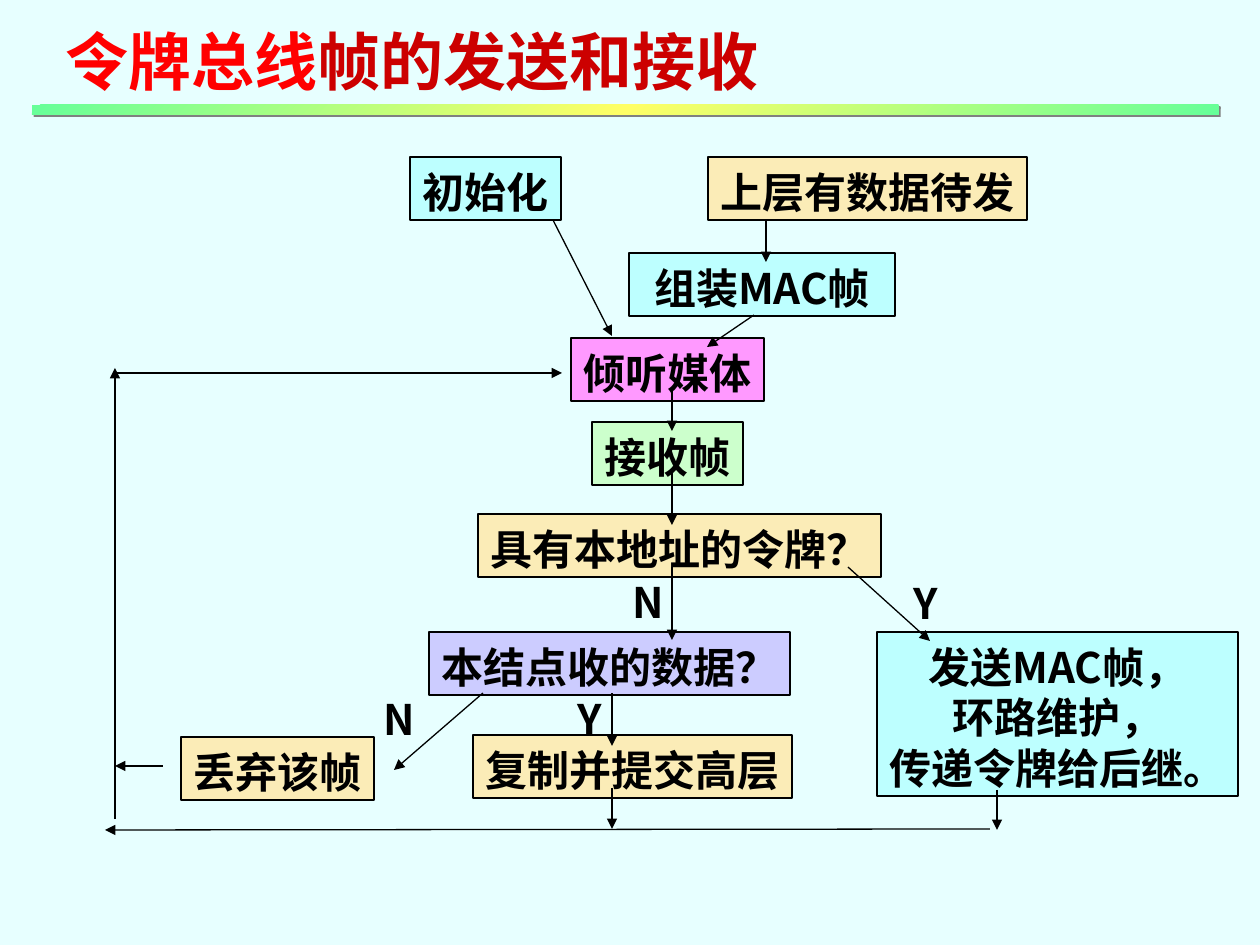
from lxml import etree
from pptx import Presentation
from pptx.dml.color import RGBColor
from pptx.enum.shapes import MSO_CONNECTOR, MSO_SHAPE
from pptx.enum.text import MSO_ANCHOR, MSO_AUTO_SIZE, PP_ALIGN
from pptx.oxml import parse_xml
from pptx.oxml.ns import nsdecls, qn
from pptx.util import Pt

PX = 914400 / 126
FONT = "Noto Sans CJK SC"
RECTANGLE = MSO_SHAPE.RECTANGLE
STRAIGHT = MSO_CONNECTOR.STRAIGHT
TOP, MIDDLE = MSO_ANCHOR.TOP, MSO_ANCHOR.MIDDLE
LEFT, CENTER = PP_ALIGN.LEFT, PP_ALIGN.CENTER
NO_AUTOFIT = MSO_AUTO_SIZE.NONE

BACKGROUND, BLACK = "E7FFFF", "000000"
SAND, AQUA, PINK, GREEN, LILAC = "FBECB7", "BDFFFF", "FF99FF", "CCFFCC", "CCCCFF"

TITLE = [("令牌总线", "FF0000"), ("帧的发送和接收", "CC0000")]
RULE_STOPS = [(0, "66FF99"), (50, "FFFF66"), (100, "66FF99")]

# lines of text, fill, (left, top, width, height)
STEPS = [
    (["上层有数据待发"], SAND, (708, 157, 319, 63)),
    (["组装MAC帧"], AQUA, (629, 253, 266, 63)),
    (["倾听媒体"], PINK, (571, 338, 193, 63)),
    (["接收帧"], GREEN, (592, 422, 151, 63)),
    (["具有本地址的令牌？"], SAND, (478, 514, 403, 63)),
    (["发送MAC帧，", "环路维护，", "传递令牌给后继。"], AQUA, (877, 632, 361, 164)),
    (["本结点收的数据？"], LILAC, (429, 632, 361, 63)),
    (["复制并提交高层"], SAND, (473, 735, 319, 63)),
    (["丢弃该帧"], SAND, (181, 737, 193, 63)),
    (["初始化"], AQUA, (410, 157, 151, 63)),
]
ARROWS = [  # start x, start y, end x, end y
    (553, 220, 612, 336),
    (766, 220, 766, 262),
    (754, 315, 707, 347),
    (672, 388, 672, 431),
    (672, 472, 672, 525),
    (672, 567, 672, 640),
    (848, 567, 930, 641),
    (612, 693, 612, 746),
    (483, 693, 394, 770),
    (612, 788, 612, 829),
    (990, 829, 105, 830),
    (115, 819, 115, 368),
    (115, 373, 562, 373),
    (163, 766, 115, 766),
    (997, 790, 997, 830),
]
BRANCHES = [
    ("Y", (564, 684, 52, 63)),
    ("Y", (900, 568, 52, 63)),
    ("N", (619, 567, 59, 63)),
    ("N", (370, 684, 59, 63)),
]


def px(*lengths):
    return [round(length * PX) for length in lengths]


def rgb(value):
    return RGBColor.from_string(value)


def add_run(paragraph, text, size, colour):
    run = paragraph.add_run()
    run.text = text
    font = run.font
    font.size, font.bold, font.name = Pt(size), True, FONT
    font.color.rgb = rgb(colour)
    etree.SubElement(font._element, qn("a:ea"), typeface=FONT)


def set_frame(frame, anchor, wrap, top, bottom):
    frame.auto_size, frame.word_wrap = NO_AUTOFIT, wrap
    frame.vertical_anchor = anchor
    frame.margin_left, frame.margin_right = px(13, 13)
    frame.margin_top, frame.margin_bottom = px(top, bottom)


def write_centred(frame, lines):
    set_frame(frame, MIDDLE, False, 6, 0)
    for index, line in enumerate(lines):
        paragraph = frame.add_paragraph() if index else frame.paragraphs[0]
        paragraph.alignment = CENTER
        paragraph.line_spacing = Pt(29)
        add_run(paragraph, line, 24, BLACK)


def add_title(slide):
    title = slide.shapes.title
    title.left, title.top, title.width, title.height = px(53, 16, 1207, 88)
    set_frame(title.text_frame, TOP, True, 6, 6)
    paragraph = title.text_frame.paragraphs[0]
    paragraph.alignment = LEFT
    for text, colour in TITLE:
        add_run(paragraph, text, 36, colour)


def add_rule(slide):
    """Draw the gradient bar with its hard shadow under the title."""
    bar = slide.shapes.add_shape(RECTANGLE, *px(32, 105, 1187, 10))
    bar.line.fill.background()
    bar.fill.gradient()
    bar.fill.gradient_angle = 135
    stops = bar._element.spPr.find(qn("a:gradFill")).find(qn("a:gsLst"))
    for stop in list(stops):
        stops.remove(stop)
    for position, colour in RULE_STOPS:
        stop = etree.SubElement(stops, qn("a:gs"), pos=str(position * 1000))
        etree.SubElement(stop, qn("a:srgbClr"), val=colour)
    bar._element.spPr.append(parse_xml(
        f'<a:effectLst {nsdecls("a")}><a:outerShdw dist="17780" dir="2700000">'
        '<a:srgbClr val="808080"/></a:outerShdw></a:effectLst>'))


def add_step(slide, lines, fill, place):
    step = slide.shapes.add_shape(RECTANGLE, *px(*place))
    step.shadow.inherit = False
    step.fill.solid()
    step.fill.fore_color.rgb = rgb(fill)
    step.line.color.rgb = rgb(BLACK)
    step.line.width = Pt(0.75)
    write_centred(step.text_frame, lines)


def add_arrow(slide, ends):
    arrow = slide.shapes.add_connector(STRAIGHT, *px(*ends))
    arrow.line.color.rgb = rgb(BLACK)
    arrow.line.width = Pt(0.75)
    etree.SubElement(arrow.line._get_or_add_ln(), qn("a:tailEnd"), type="triangle")
    etree.SubElement(arrow._element.spPr, qn("a:effectLst"))


def main():
    deck = Presentation()
    deck.slide_width, deck.slide_height = px(1260, 945)
    slide = deck.slides.add_slide(deck.slide_layouts[5])
    slide.background.fill.solid()
    slide.background.fill.fore_color.rgb = rgb(BACKGROUND)
    add_title(slide)
    add_rule(slide)
    for lines, fill, place in STEPS:
        add_step(slide, lines, fill, place)
    for ends in ARROWS:
        add_arrow(slide, ends)
    for answer, place in BRANCHES:
        write_centred(slide.shapes.add_textbox(*px(*place)).text_frame, [answer])
    deck.save("out.pptx")


if __name__ == "__main__":
    main()
